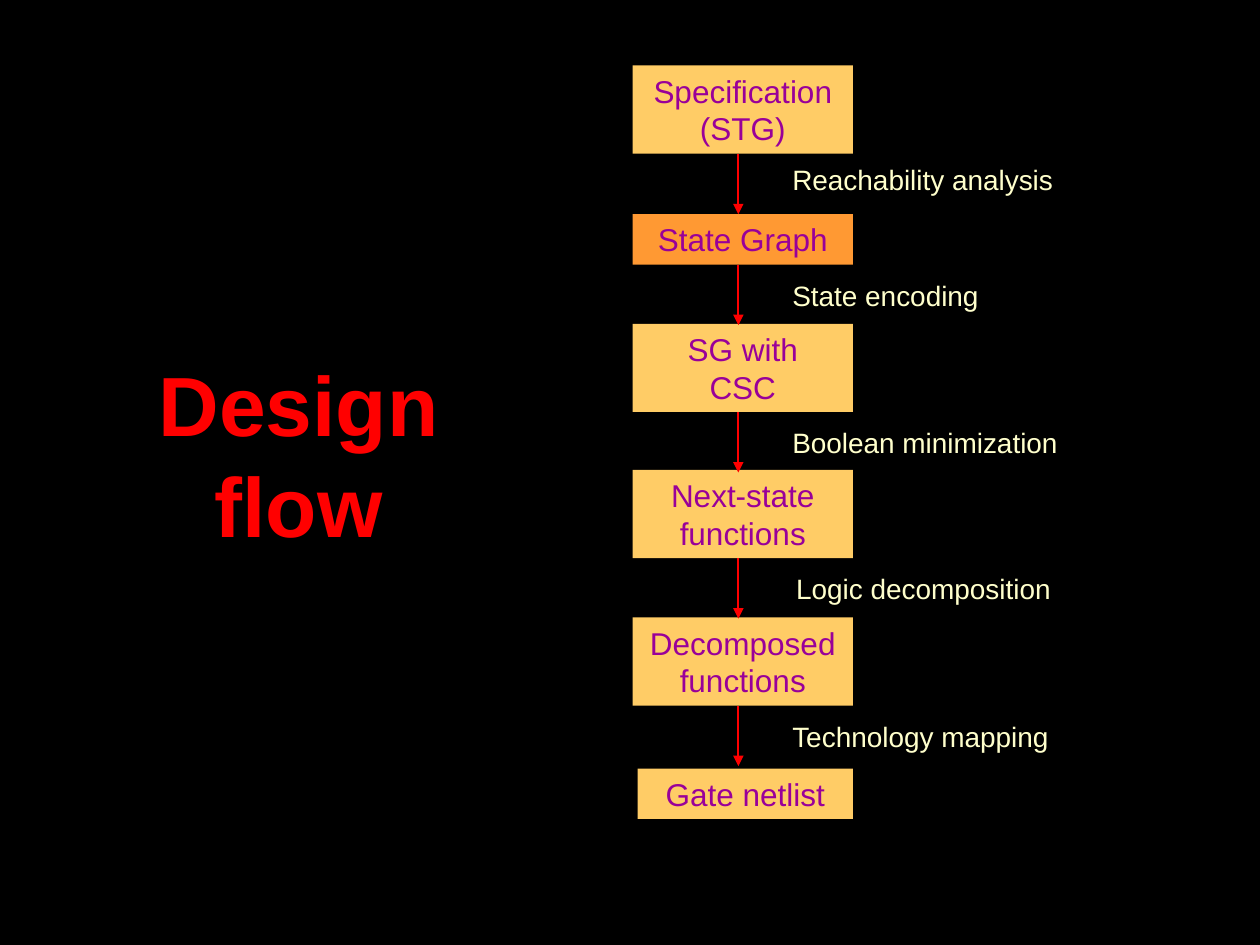
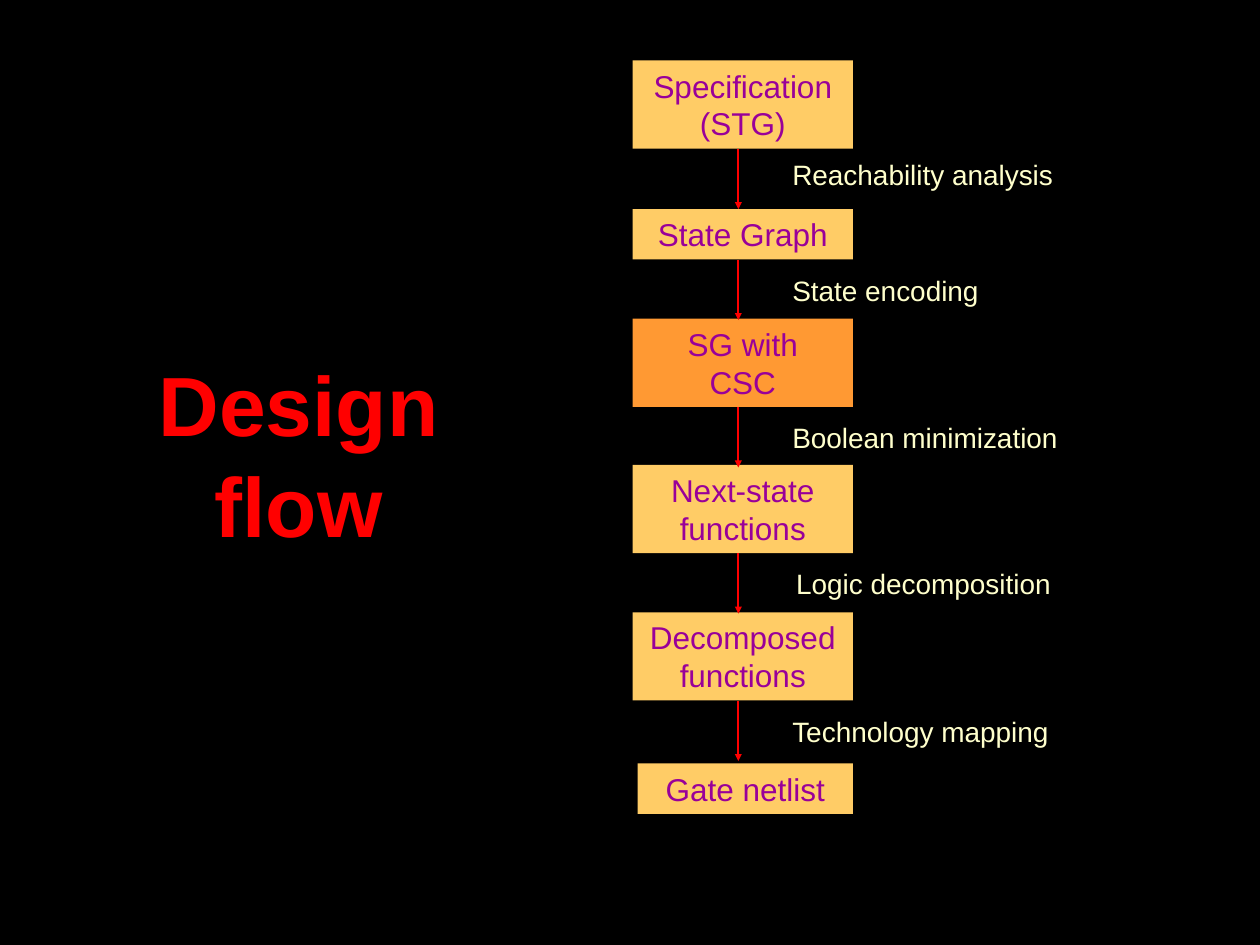
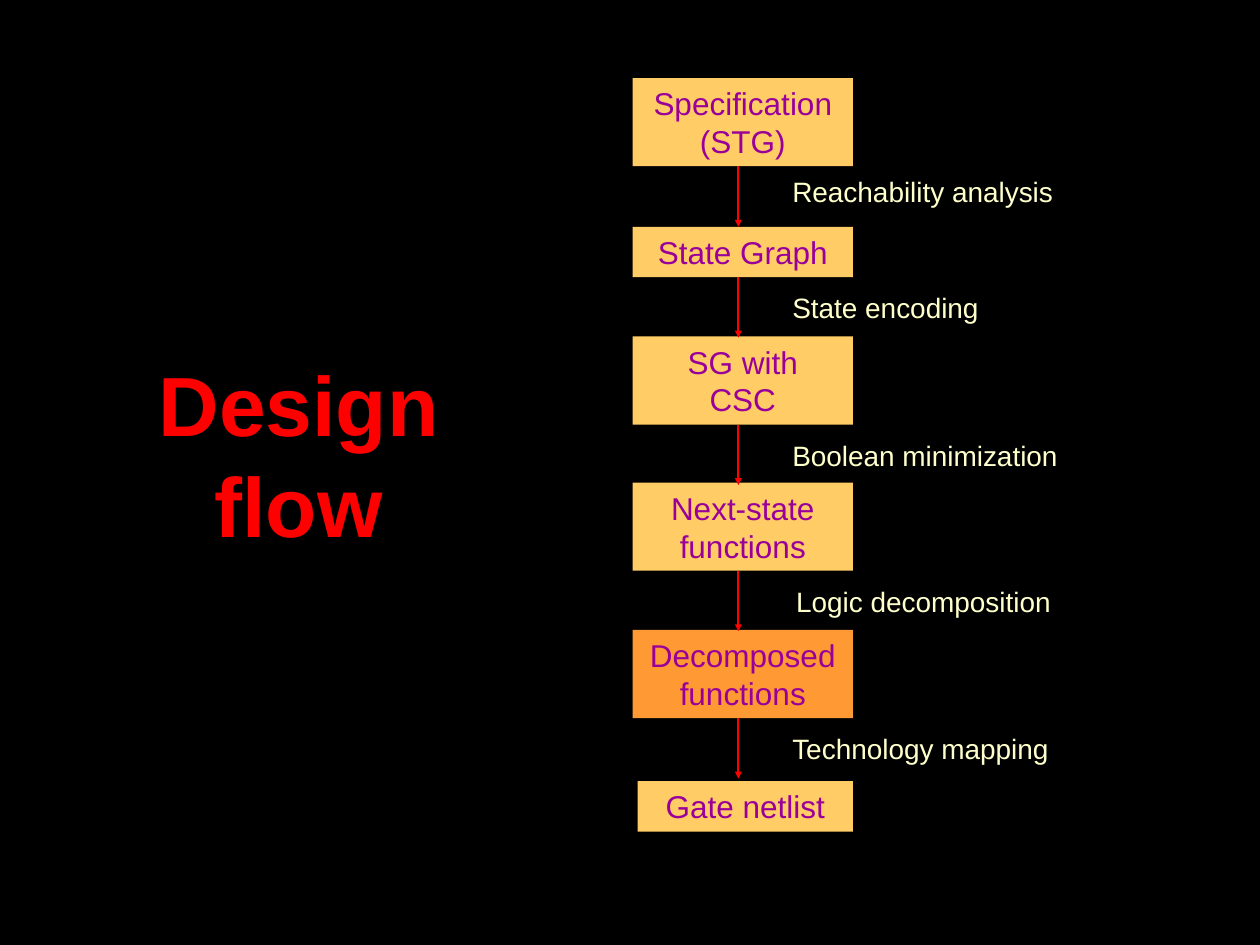
from pptx import Presentation
from pptx.dml.color import RGBColor
from pptx.enum.shapes import MSO_CONNECTOR, MSO_SHAPE
from pptx.enum.text import MSO_ANCHOR, MSO_AUTO_SIZE, PP_ALIGN
from pptx.oxml.ns import qn
from pptx.util import Inches, Pt
from lxml.etree import SubElement

BACKGROUND = "000000"
STAGE_FILL = "FFCC66"
CURRENT_STAGE_FILL = "FF9933"
STAGE_TEXT = "990099"
STEP_TEXT = "FFFFCC"
ACCENT = "FF0000"

STAGE_FONT = {"name": "Arial", "size": Pt(18)}
STEP_FONT = {"name": "Arial", "size": Pt(16)}
TITLE_FONT = {"name": "Arial", "size": Pt(48), "bold": True}

STAGE_RIGHT = 6.77
ARROW_X = 5.86
ARROW_LENGTH = 0.48
STEP_HEIGHT = 0.37

STAGES = [
    {"text": "Specification\n(STG)", "left": 5.02, "height": 0.7, "gap": 0.48},
    {"text": "State Graph", "left": 5.02, "height": 0.4, "gap": 0.47},
    {"text": "SG with\nCSC", "left": 5.02, "height": 0.7, "gap": 0.46},
    {"text": "Next-state functions", "left": 5.02, "height": 0.7, "gap": 0.47},
    {"text": "Decomposed functions", "left": 5.02, "height": 0.7, "gap": 0.5},
    {"text": "Gate netlist", "left": 5.06, "height": 0.4, "gap": 0},
]
STEPS = [
    {"text": "Reachability analysis", "left": 6.19, "width": 2.27, "drop": 0.02},
    {"text": "State encoding", "left": 6.19, "width": 1.68, "drop": 0.06},
    {"text": "Boolean minimization", "left": 6.19, "width": 2.34, "drop": 0.06},
    {"text": "Logic decomposition", "left": 6.22, "width": 2.22, "drop": 0.06},
    {"text": "Technology mapping", "left": 6.19, "width": 2.26, "drop": 0.06},
]
PAGES = [
    {"top": 0.52, "current": "State Graph", "head_size": "med"},
    {"top": 0.48, "current": "SG with\nCSC", "head_size": "sm"},
    {"top": 0.62, "current": "Decomposed functions", "head_size": "sm"},
]


def color(hex_value):
    return RGBColor.from_string(hex_value)


def apply(target, values):
    for name, value in values.items():
        setattr(target, name, value)


def write(box, lines, font, text_color, align, wrap):
    frame = box.text_frame
    apply(frame, {
        "word_wrap": wrap,
        "auto_size": MSO_AUTO_SIZE.SHAPE_TO_FIT_TEXT,
        "vertical_anchor": MSO_ANCHOR.TOP,
    })
    for index, line in enumerate(lines):
        para = frame.add_paragraph() if index else frame.paragraphs[0]
        para.text = line
        para.alignment = align
        for span in para.runs:
            apply(span.font, font)
            span.font.color.rgb = color(text_color)


def add_label(page, lines, left, top, width, height, font, text_color, align):
    box = page.shapes.add_textbox(Inches(left), Inches(top), Inches(width), Inches(height))
    write(box, lines, font, text_color, align, False)


def add_stage(page, text, left, top, height, fill_color):
    box = page.shapes.add_shape(
        MSO_SHAPE.RECTANGLE, Inches(left), Inches(top),
        Inches(STAGE_RIGHT - left), Inches(height))
    box.shadow.inherit = False
    box.fill.solid()
    box.fill.fore_color.rgb = color(fill_color)
    box.line.fill.background()
    write(box, [text], STAGE_FONT, STAGE_TEXT, PP_ALIGN.CENTER, True)


def add_arrow(page, top, head_size):
    arrow = page.shapes.add_connector(
        MSO_CONNECTOR.STRAIGHT, Inches(ARROW_X), Inches(top),
        Inches(ARROW_X), Inches(top + ARROW_LENGTH))
    arrow.line.color.rgb = color(ACCENT)
    arrow.line.width = Pt(1)
    properties = arrow.element.spPr
    SubElement(properties.find(qn("a:ln")), qn("a:tailEnd"),
               type="triangle", w=head_size, len=head_size)
    SubElement(properties, qn("a:effectLst"))


def add_flow(page, top, current, head_size):
    bottoms = []
    for stage in STAGES:
        fill_color = CURRENT_STAGE_FILL if stage["text"] == current else STAGE_FILL
        add_stage(page, stage["text"], stage["left"], top, stage["height"], fill_color)
        bottoms.append(top + stage["height"])
        top += stage["height"] + stage["gap"]
    for bottom, step in zip(bottoms, STEPS):
        add_label(page, [step["text"]], step["left"], bottom + step["drop"],
                  step["width"], STEP_HEIGHT, STEP_FONT, STEP_TEXT, PP_ALIGN.LEFT)
        add_arrow(page, bottom, head_size)


def add_page(deck):
    page = deck.slides.add_slide(deck.slide_layouts[6])
    page.background.fill.solid()
    page.background.fill.fore_color.rgb = color(BACKGROUND)
    return page


def main():
    deck = Presentation()
    apply(deck, {"slide_width": Inches(10), "slide_height": Inches(7.5)})
    for flow in PAGES:
        page = add_page(deck)
        add_flow(page, **flow)
        add_label(page, ["Design", "flow"], 1.16, 2.75, 2.42, 1.7,
                  TITLE_FONT, ACCENT, PP_ALIGN.CENTER)
    deck.save("out.pptx")


if __name__ == "__main__":
    main()
